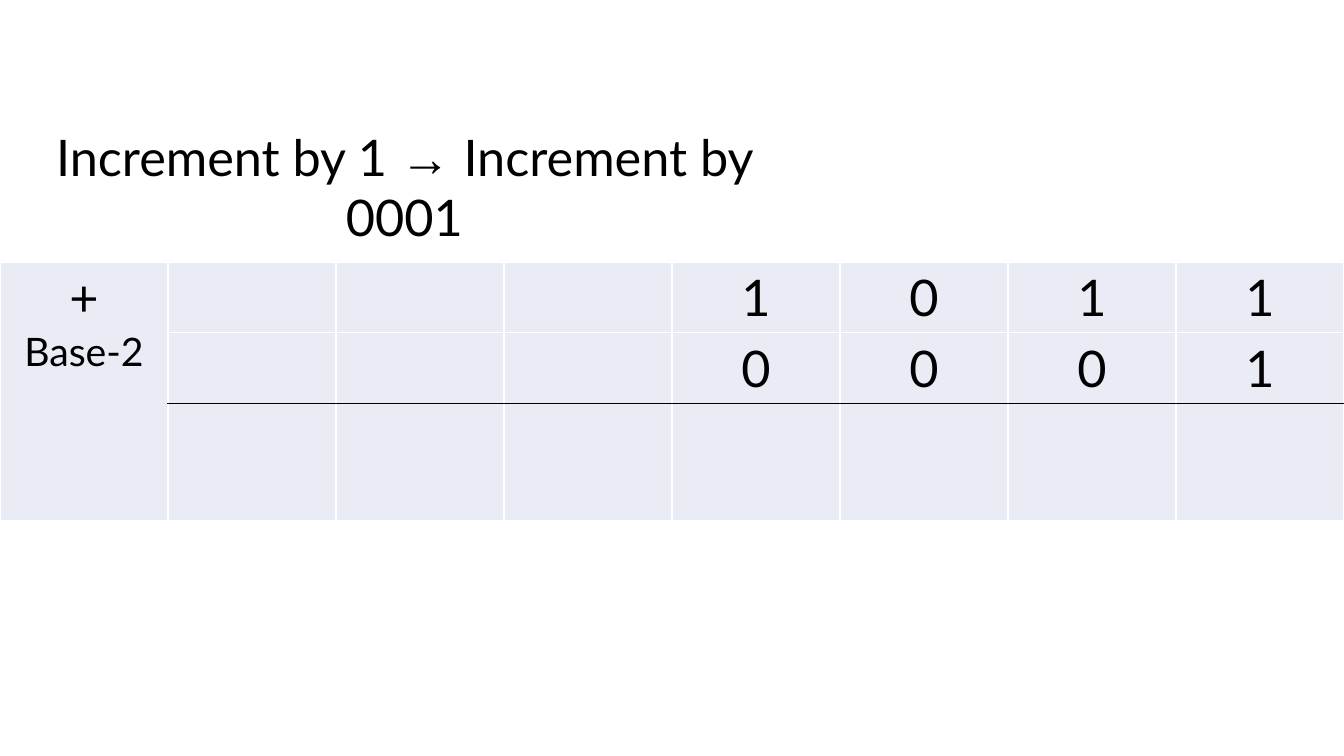
from pptx import Presentation
from pptx.dml.color import RGBColor
from pptx.enum.text import MSO_AUTO_SIZE, PP_ALIGN
from pptx.oxml import parse_xml
from pptx.oxml.ns import nsdecls
from pptx.util import Inches, Pt

BLACK, WHITE, PALE = "000000", "FFFFFF", "E9EBF5"
ROWS = ["   1011", "   0001", " " * 7]
ROW_HEIGHTS = [0.7, 0.7, 1.16]


def rgb(value):
    return RGBColor.from_string(value)


def add_run(p, text, size=36, name="Lato"):
    r = p.add_run()
    r.text = text
    for key, value in {"size": Pt(size), "name": name}.items():
        setattr(r.font, key, value)
    r.font.color.rgb = rgb(BLACK)


def set_borders(cell, colors):
    """Borders go ahead of the fill, in the order left, right, top, bottom."""
    tcPr = cell._tc.get_or_add_tcPr()
    for i, (side, color) in enumerate(colors.items()):
        tcPr.insert(i, parse_xml(
            f'<a:ln{side} {nsdecls("a")} w="{Pt(1)}"><a:solidFill>'
            f'<a:srgbClr val="{color}"/></a:solidFill></a:ln{side}>'))


def add_heading(s, left, top, width, height):
    box = s.shapes.add_textbox(*map(Inches, (left, top, width, height)))
    tf = box.text_frame
    tf.word_wrap = True
    tf.auto_size = MSO_AUTO_SIZE.SHAPE_TO_FIT_TEXT
    p = tf.paragraphs[0]
    p.alignment = PP_ALIGN.CENTER
    add_run(p, "Increment by 1 ")
    add_run(p, "→", name="Times New Roman")
    add_run(p, " Increment by 0001")


def add_sum_table(s, left, top, width):
    cols = len(ROWS[0]) + 1
    frame = s.shapes.add_table(
        len(ROWS), cols,
        *map(Inches, (left, top, width, sum(ROW_HEIGHTS))))
    table = frame.table
    table.first_row = table.horz_banding = False
    for row, height in zip(table.rows, ROW_HEIGHTS):
        row.height = Inches(height)
    for col in table.columns:
        col.width = Inches(width / cols)

    # Fills, and a black rule between the addends and the result
    for i in range(len(ROWS)):
        for j in range(cols):
            cell = table.cell(i, j)
            cell.fill.solid()
            cell.fill.fore_color.rgb = rgb(PALE)
            set_borders(cell, {
                "L": WHITE, "R": WHITE,
                "T": BLACK if i == 2 and j else WHITE,
                "B": BLACK if i == 1 and j else WHITE})

    # Digits of the two addends
    for i, digits in enumerate(ROWS):
        for j, digit in enumerate(digits, start=1):
            if digit != " ":
                p = table.cell(i, j).text_frame.paragraphs[0]
                p.alignment = PP_ALIGN.CENTER
                add_run(p, digit)

    # Operator and base, in one cell down the left side
    operator = table.cell(0, 0)
    operator.merge(table.cell(len(ROWS) - 1, 0))
    tf = operator.text_frame
    for p, text, size in ((tf.paragraphs[0], "+", 36),
                          (tf.add_paragraph(), "Base-2", 28)):
        p.alignment = PP_ALIGN.CENTER
        add_run(p, text, size)


def main():
    prs = Presentation()
    prs.slide_width, prs.slide_height = Inches(13.33), Inches(7.5)
    s = prs.slides.add_slide(prs.slide_layouts[6])
    add_sum_table(s, 0, 2.6, 13.33)
    add_heading(s, 0, 1.2, 8.02, 0.71)
    prs.save("out.pptx")


if __name__ == "__main__":
    main()
